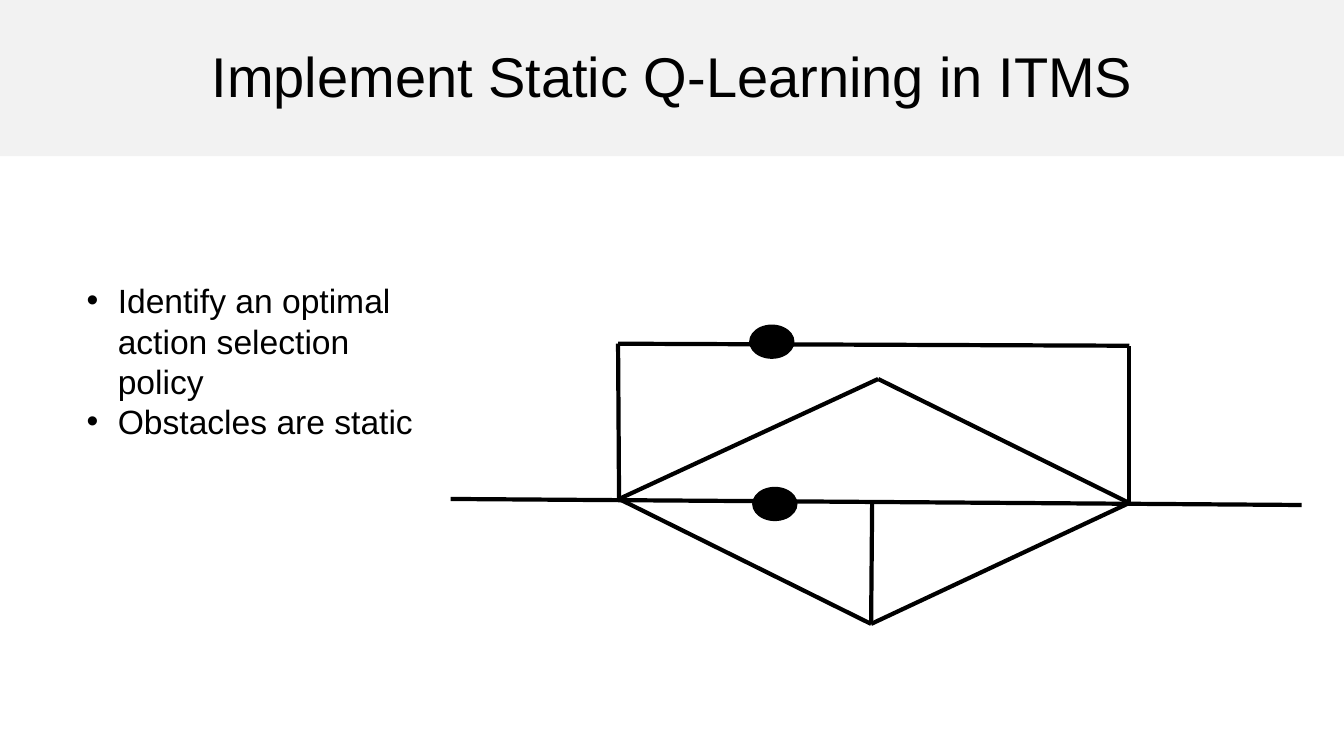
from pptx import Presentation
from pptx.dml.color import RGBColor
from pptx.enum.shapes import MSO_CONNECTOR as Connector, MSO_SHAPE as Shape
from pptx.enum.text import MSO_ANCHOR as Anchor, PP_ALIGN as Align
from pptx.oxml.ns import qn
from pptx.util import Inches, Pt
from lxml.etree import SubElement


def color(value):
    return RGBColor.from_string(value)


class RoadSlide:
    font = "Arial"
    ink = "000000"
    band = "F2F2F2"
    road_width = 3

    def __init__(self, presentation):
        self.slide = presentation.slides.add_slide(presentation.slide_layouts[6])

    def solid(self, preset, left, top, width, height, fill):
        shape = self.slide.shapes.add_shape(
            preset, Inches(left), Inches(top), Inches(width), Inches(height))
        shape.shadow.inherit = False
        shape.fill.solid()
        shape.fill.fore_color.rgb = color(fill)
        shape.line.fill.background()

    def road(self, start, end):
        line = self.slide.shapes.add_connector(
            Connector.STRAIGHT, *(Inches(value) for value in (*start, *end)))
        line.line.color.rgb = color(self.ink)
        line.line.width = Pt(self.road_width)
        SubElement(line._element.spPr, qn("a:effectLst"))

    def text(self, left, top, width, height, paragraphs, size,
             align=Align.LEFT, anchor=Anchor.TOP, bullet=None):
        frame = self.slide.shapes.add_textbox(
            Inches(left), Inches(top), Inches(width), Inches(height)).text_frame
        frame.word_wrap = True
        frame.vertical_anchor = anchor
        for index, wording in enumerate(paragraphs):
            paragraph = frame.paragraphs[0] if index == 0 else frame.add_paragraph()
            paragraph.alignment = align
            if bullet:
                self.add_bullet(paragraph, bullet)
            run = paragraph.add_run()
            run.text = wording
            run.font.name = self.font
            run.font.size = Pt(size)
            run.font.color.rgb = color(self.ink)

    def add_bullet(self, paragraph, bullet):
        properties = paragraph._p.get_or_add_pPr()
        indent = Inches(0.31)
        properties.set("marL", str(indent))
        properties.set("indent", str(-indent))
        SubElement(properties, qn("a:buFont")).set("typeface", self.font)
        SubElement(properties, qn("a:buChar")).set("char", bullet)


def main():
    presentation = Presentation()
    presentation.slide_width = Inches(13.33)
    presentation.slide_height = Inches(7.5)
    page = RoadSlide(presentation)

    page.solid(Shape.RECTANGLE, 0, 0, 13.33, 1.55, page.band)
    page.text(0, 0.33, 13.33, 0.84, ["Implement Static Q-Learning in ITMS"], 40,
              align=Align.CENTER, anchor=Anchor.MIDDLE)

    west, east = (6.14, 4.95), (11.2, 4.99)
    north, south = (8.71, 3.76), (8.64, 6.19)
    northwest, northeast = (6.13, 3.41), (11.2, 3.43)
    roads = [
        ((4.47, 4.95), (12.91, 5.01)),
        (east, south),
        (west, south),
        (west, north),
        (east, north),
        (northwest, northeast),
        (west, northwest),
        (east, northeast),
        (south, (8.65, 4.99)),
    ]
    for start, end in roads:
        page.road(start, end)

    for left, top in [(7.43, 3.22), (7.46, 4.83)]:
        page.solid(Shape.OVAL, left, top, 0.45, 0.34, page.ink)

    page.text(0.76, 2.73, 3.71, 2.05,
              ["Identify an optimal action selection policy", "Obstacles are static"],
              24, bullet="•")

    presentation.save("out.pptx")


if __name__ == "__main__":
    main()
